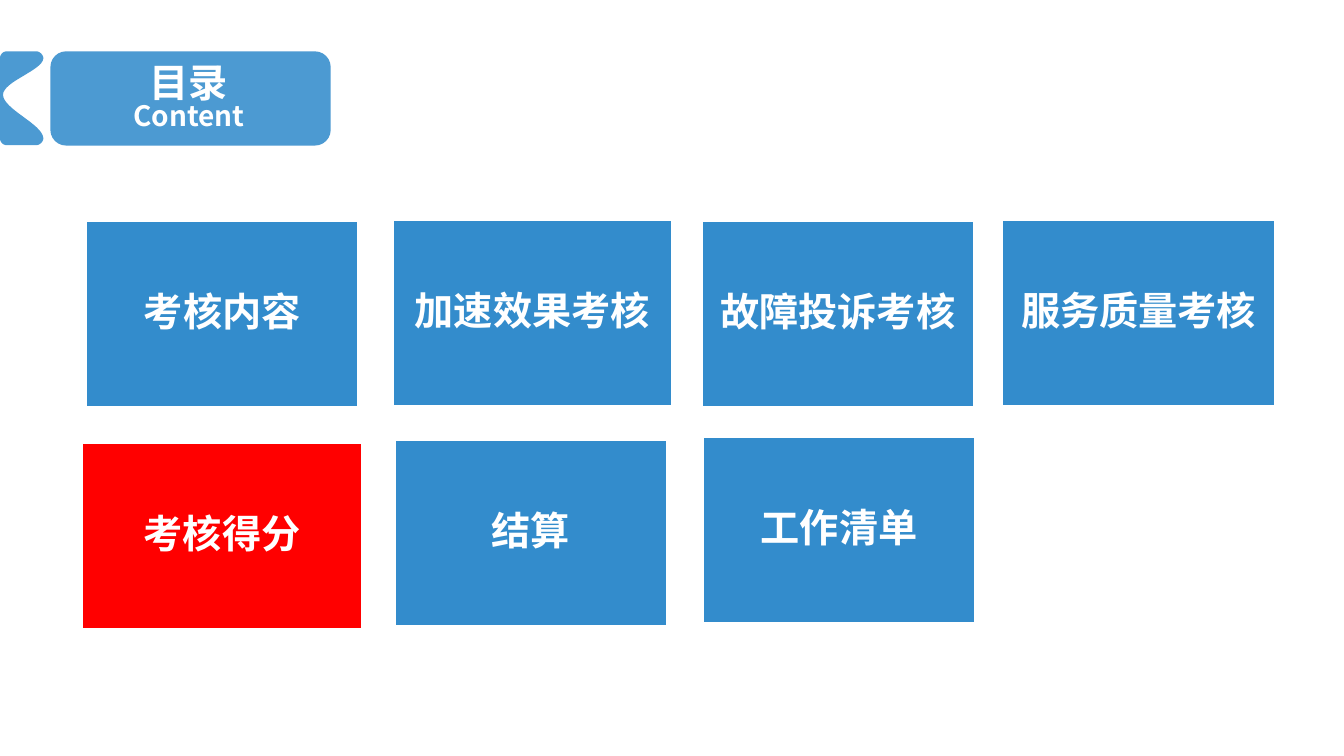
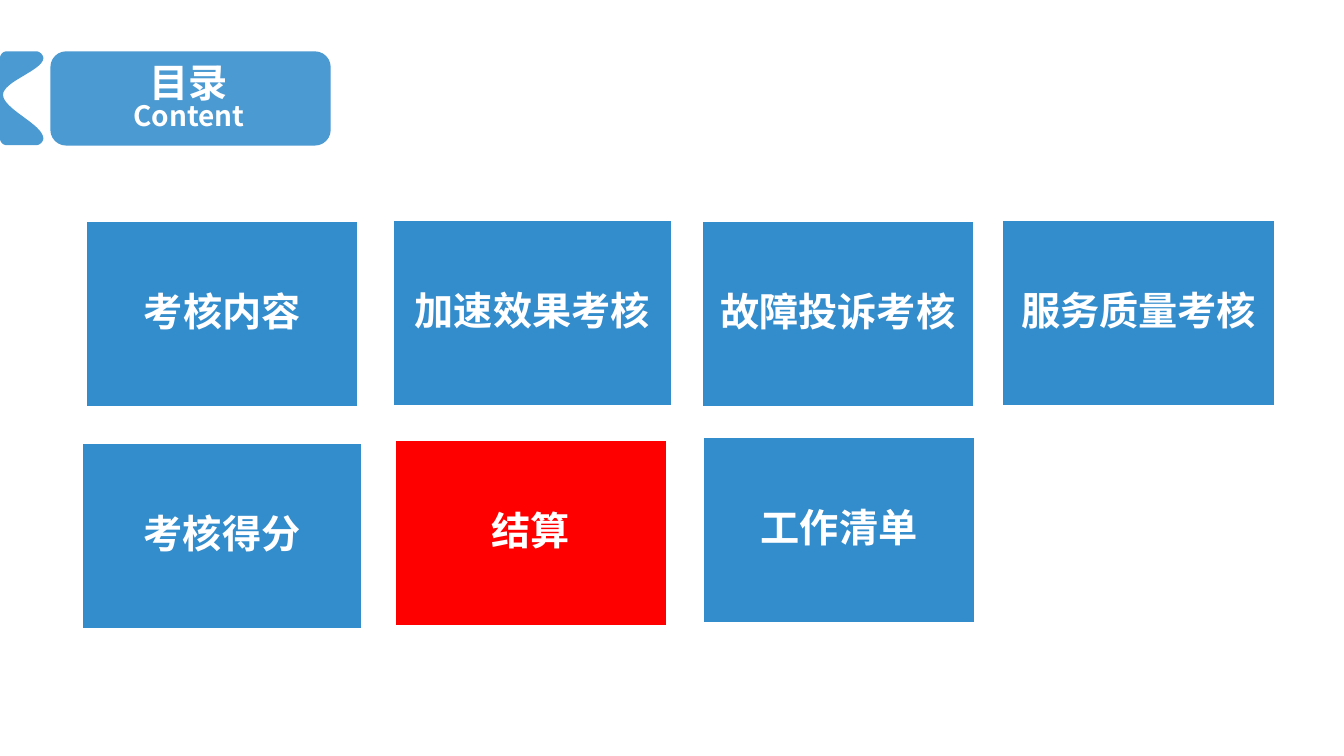
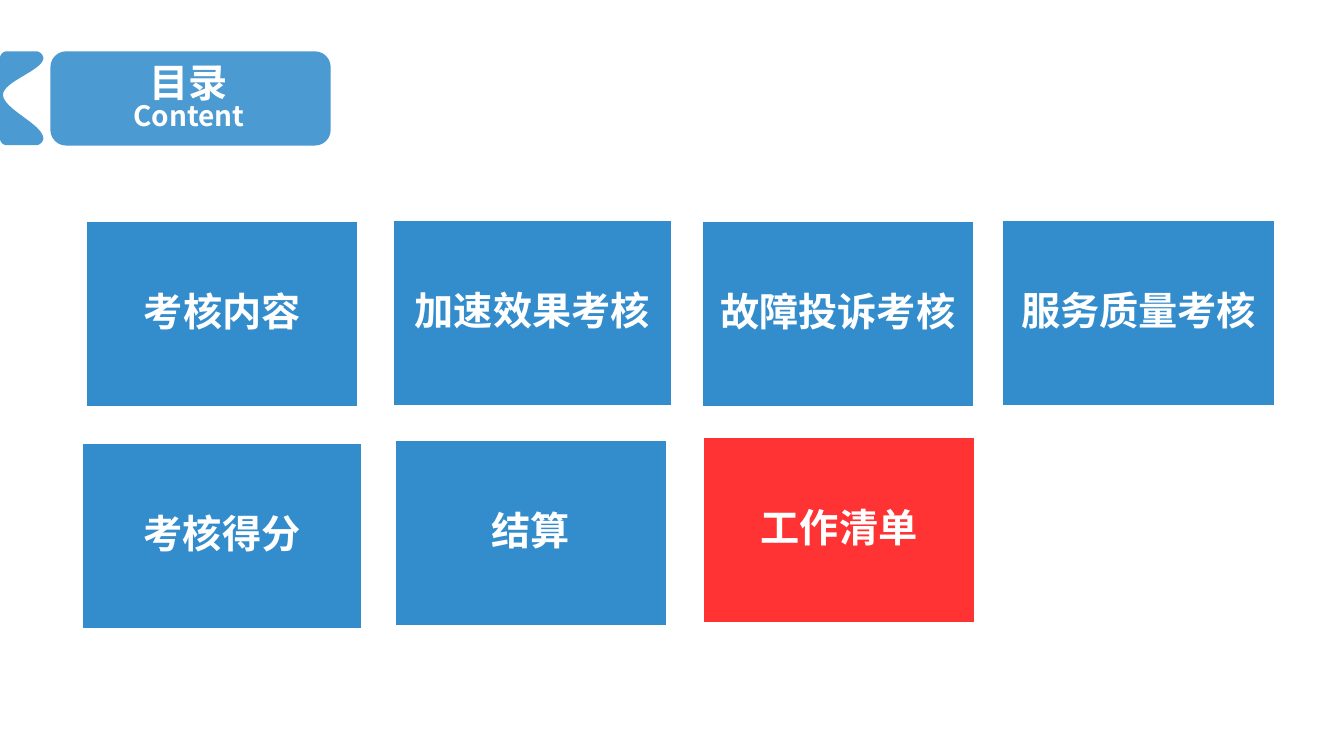
import pptx
import pptx.dml.color
import pptx.enum.shapes
import pptx.enum.text
import pptx.oxml
import pptx.oxml.ns
import pptx.util

Pt = pptx.util.Pt
SHAPE = pptx.enum.shapes.MSO_SHAPE
CENTER = pptx.enum.text.PP_ALIGN.CENTER
MIDDLE = pptx.enum.text.MSO_ANCHOR.MIDDLE

COLORS = {"blue": "0070C0", "red": "FF0000", "white": "FFFFFF"}
FONT = "Noto Sans CJK SC"
TITLE = [("目录", 28), ("Content", 20)]
TITLE_BOX = (37.4, 37.4, 195.1, 67.7)
BAND_BOX = (36, 36.7, 200.2, 67.3)
BAND_OPACITY = 70

TILE_HEIGHT = 133.4
TILES = [
    ("考核内容", 61.2, 157.7, 195.1),
    ("加速效果考核", 280.1, 157, 200.2),
    ("故障投诉考核", 501.1, 157.7, 194.6),
    ("服务质量考核", 715.7, 157, 195.1),
    ("考核得分", 58.5, 316.1, 200.2),
    ("结算", 281.5, 314.1, 195.1),
    ("工作清单", 501.8, 311.8, 195.1),
]
TILE_OPACITY = 80
HIGHLIGHTS = [("考核得分", 100), ("结算", 100), ("工作清单", 80)]

NOTCH_START = (5, 103.7)
NOTCH_SEGMENTS = [
    [(2.2, 103.7), (0, 101.5), (0, 98.6)],
    [(0, 41.8)],
    [(0, 38.9), (2.2, 36.7), (5, 36.7)],
    [(25.9, 36.7)],
    [(28.1, 36.7), (31, 38.9), (31, 41.8)],
    [(30.2, 50.4), (2.2, 58.3), (2.2, 67.7)],
    [(2.2, 77.8), (30.2, 88.6), (31, 98.6)],
    [(31, 101.5), (28.1, 103.7), (25.9, 103.7)],
]
CURVE_STEPS = 16


def rgb(name):
    return pptx.dml.color.RGBColor.from_string(COLORS[name])


def paint(shape, color, opacity):
    shape.shadow.inherit = False
    shape.fill.solid()
    shape.fill.fore_color.rgb = rgb(color)
    if opacity < 100:
        color_element = shape.element.spPr.find(".//" + pptx.oxml.ns.qn("a:srgbClr"))
        alpha = pptx.oxml.parse_xml(
            f'<a:alpha {pptx.oxml.ns.nsdecls("a")} val="{opacity * 1000}"/>')
        color_element.append(alpha)


def style_paragraph(paragraph, line_spacing):
    paragraph.alignment = CENTER
    paragraph.line_spacing = line_spacing
    font = paragraph.font
    font.bold = True
    font.color.rgb = rgb("white")
    font.name = FONT
    latin = paragraph._p.pPr.find(".//" + pptx.oxml.ns.qn("a:latin"))
    latin.addnext(pptx.oxml.parse_xml(
        f'<a:ea {pptx.oxml.ns.nsdecls("a")} typeface="{FONT}"/>'))


def curve_points(start, controls):
    points = [start, *controls]
    for step in range(1, CURVE_STEPS + 1):
        t = step / CURVE_STEPS
        weights = ((1 - t) ** 3, 3 * t * (1 - t) ** 2, 3 * t * t * (1 - t), t ** 3)
        yield tuple(sum(w * point[axis] for w, point in zip(weights, points))
                    for axis in (0, 1))


def notch_outline():
    current = NOTCH_START
    for segment in NOTCH_SEGMENTS:
        yield from segment if len(segment) == 1 else curve_points(current, segment)
        current = segment[-1]


def add_band(slide, layout):
    band = slide.shapes.add_shape(
        SHAPE.FLOWCHART_ALTERNATE_PROCESS, *map(Pt, BAND_BOX))
    builder = slide.shapes.build_freeform(*map(Pt, NOTCH_START))
    builder.add_line_segments(
        [(Pt(x), Pt(y)) for x, y in notch_outline()], close=True)
    notch = builder.convert_to_shape()
    for index, shape in enumerate((band, notch)):
        paint(shape, "blue", BAND_OPACITY)
        shape.line.fill.background()
        shape.element.nvSpPr.cNvPr.set("id", str(100 + index))
        layout.shapes.element.insert(2 + index, shape.element)


def fill_title(slide):
    title = slide.shapes.title
    title.left, title.top, title.width, title.height = map(Pt, TITLE_BOX)
    frame = title.text_frame
    frame.auto_size = pptx.enum.text.MSO_AUTO_SIZE.NONE
    frame.vertical_anchor = MIDDLE
    paragraph = frame.paragraphs[0]
    for index, (text, size) in enumerate(TITLE):
        if index:
            paragraph.add_line_break()
        run = paragraph.add_run()
        run.text = text
        run.font.size = Pt(size)
    style_paragraph(paragraph, 0.8)


def add_tile(slide, label, left, top, width, color, opacity):
    tile = slide.shapes.add_shape(
        SHAPE.RECTANGLE, Pt(left), Pt(top), Pt(width), Pt(TILE_HEIGHT))
    paint(tile, color, opacity)
    tile.line.color.rgb = rgb("white")
    tile.line.width = Pt(2)
    frame = tile.text_frame
    frame.word_wrap = True
    frame.vertical_anchor = MIDDLE
    frame.margin_left = frame.margin_right = Pt(10.8)
    frame.margin_top = frame.margin_bottom = Pt(10.8)
    paragraph = frame.paragraphs[0]
    paragraph.text = label
    style_paragraph(paragraph, 0.9)
    paragraph.font.size = Pt(28)


def main():
    presentation = pptx.Presentation()
    presentation.slide_width, presentation.slide_height = Pt(960), Pt(540)
    layout = presentation.slide_layouts[5]
    for index, (current, current_opacity) in enumerate(HIGHLIGHTS):
        slide = presentation.slides.add_slide(layout)
        if index == 0:
            add_band(slide, layout)
        fill_title(slide)
        for label, left, top, width in TILES:
            color, opacity = (("red", current_opacity) if label == current
                              else ("blue", TILE_OPACITY))
            add_tile(slide, label, left, top, width, color, opacity)
    presentation.save("out.pptx")


if __name__ == "__main__":
    main()
